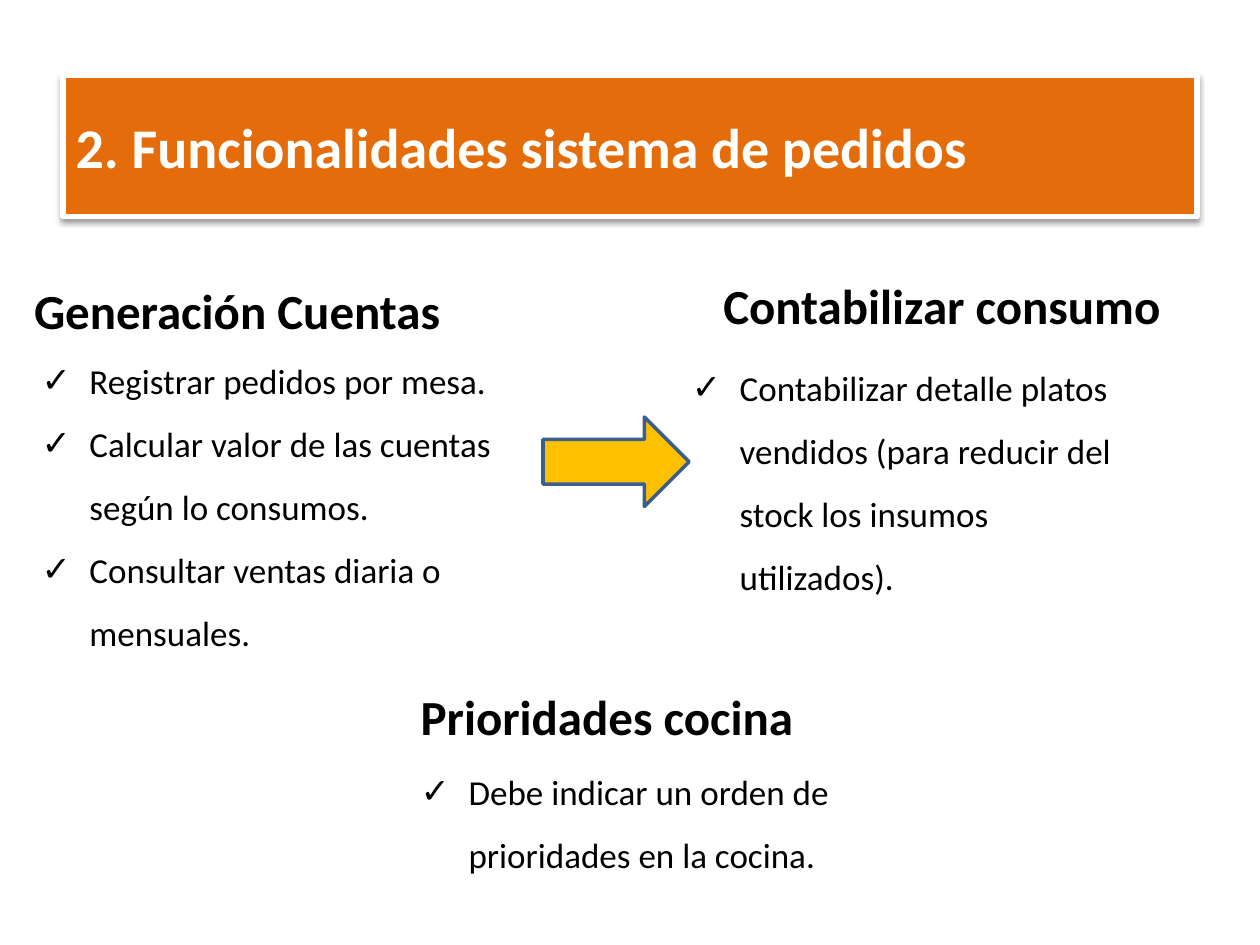
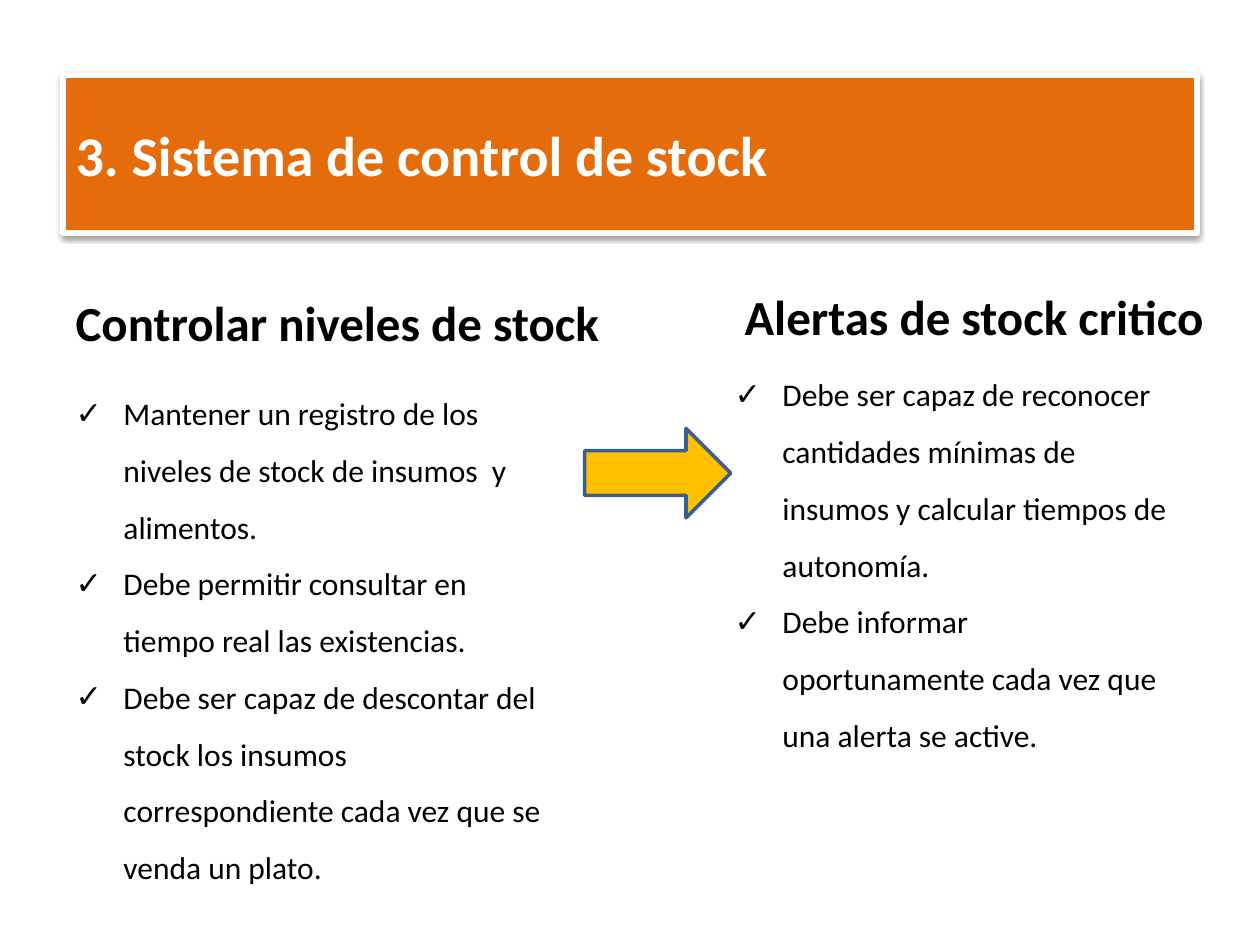
from pptx import Presentation
from pptx.dml.color import RGBColor
from pptx.enum import shapes, text
from pptx.oxml import parse_xml
from pptx.oxml.ns import nsdecls
from pptx.util import Inches, Pt

HUES = {"band": "E46C0A", "white": "FFFFFF", "ink": "000000",
        "arrow": "FFC000", "edge": "3A5F8C"}
FONT = "Calibri"
HANG = 0.38
ALIGN = text.PP_ALIGN


def rgb(name):
    return RGBColor.from_string(HUES[name])


def place(shape, left, top, width, height):
    shape.left, shape.top = Inches(left), Inches(top)
    shape.width, shape.height = Inches(width), Inches(height)


def paint(shape, fill, line, width):
    shape.fill.solid()
    shape.fill.fore_color.rgb = rgb(fill)
    shape.line.color.rgb = rgb(line)
    shape.line.width = Pt(width)


def write(par, words, size, hue="ink", bold=False):
    run = par.add_run()
    run.text = words
    font = run.font
    font.name, font.size, font.bold = FONT, Pt(size), bold
    font.color.rgb = rgb(hue)


def frame(shape, anchor=text.MSO_ANCHOR.TOP):
    body = shape.text_frame
    body.word_wrap = True
    body.auto_size = text.MSO_AUTO_SIZE.NONE
    body.vertical_anchor = anchor
    return body


def shade(shape):
    """Soft shadow straight below the shape."""
    shape._element.spPr.append(parse_xml(
        f'<a:effectLst {nsdecls("a")}>'
        f'<a:outerShdw blurRad="{Pt(3.1)}" dist="{Pt(1.6)}" dir="5400000" rotWithShape="0">'
        f'<a:srgbClr val="{HUES["ink"]}"><a:alpha val="38000"/></a:srgbClr>'
        '</a:outerShdw></a:effectLst>'))


def band(slide, words, height):
    title = slide.shapes.title
    place(title, 0.5, 0.6, 9, height)
    paint(title, "band", "white", 3)
    shade(title)
    par = frame(title, text.MSO_ANCHOR.MIDDLE).paragraphs[0]
    par.alignment = ALIGN.LEFT
    write(par, words, 32, "white", True)


def head(shape, spot, words):
    place(shape, *spot)
    par = frame(shape).paragraphs[0]
    par.alignment = ALIGN.JUSTIFY
    par.space_before = Pt(0)
    write(par, words, 28, bold=True)


def tick(par):
    """Hanging check mark in front of the paragraph."""
    props = par._p.get_or_add_pPr()
    props.set("marL", str(Inches(HANG)))
    props.set("indent", str(-Inches(HANG)))
    for mark in (f'<a:buClr {nsdecls("a")}><a:srgbClr val="{HUES["ink"]}"/></a:buClr>',
                 f'<a:buFont {nsdecls("a")} typeface="Arial"/>',
                 f'<a:buChar {nsdecls("a")} char="✓"/>'):
        props.append(parse_xml(mark))


def checks(shape, spot, items, size):
    place(shape, *spot)
    body = frame(shape)
    for i, item in enumerate(items):
        par = body.add_paragraph() if i else body.paragraphs[0]
        par.alignment = ALIGN.LEFT
        par.line_spacing = 1.5
        par.space_before = Pt(0)
        tick(par)
        write(par, item, size)


def arrow(slide, left, top):
    shape = slide.shapes.add_shape(
        shapes.MSO_SHAPE.RIGHT_ARROW,
        Inches(left), Inches(top), Inches(1.16), Inches(0.71))
    shape.shadow.inherit = False
    paint(shape, "arrow", "edge", 2)


def build(deck, title, height, size, groups, tip):
    """Comparison slide; groups beyond its placeholders get text boxes."""
    slide = deck.slides.add_slide(deck.slide_layouts[4])
    band(slide, title, height)
    slots = [slide.placeholders[i] for i in (1, 2, 3, 4)]
    for name, top, items, low in groups:
        while len(slots) < 2:
            slots.append(slide.shapes.add_textbox(0, 0, 0, 0))
        head(slots.pop(0), top, name)
        checks(slots.pop(0), low, items, size)
    arrow(slide, *tip)


def main():
    deck = Presentation()
    deck.slide_width, deck.slide_height = Inches(10), Inches(7.5)

    # Orders: bills, consumption, kitchen
    build(deck, "2. Funcionalidades sistema de pedidos", 1.12, 20, [
        ("Generación Cuentas", (0.17, 2.18, 3.53, 0.51),
         ["Registrar pedidos por mesa.",
          "Calcular valor de las cuentas según lo consumos.",
          "Consultar ventas diaria o mensuales."], (0.23, 2.64, 3.91, 3.28)),
        ("Contabilizar consumo", (5.64, 2.14, 3.86, 0.5),
         ["Contabilizar detalle platos vendidos (para reducir del stock "
          "los insumos utilizados)."], (5.39, 2.69, 3.7, 2.32)),
        ("Prioridades cocina", (3.24, 5.4, 4.32, 0.41),
         ["Debe indicar un orden de prioridades en la cocina."],
         (3.24, 5.9, 3.59, 1.15)),
    ], (4.31, 3.31))

    # Stock: levels and alerts
    build(deck, "3. Sistema de control de stock", 1.25, 18, [
        ("Controlar niveles de stock", (0.5, 2.27, 4.43, 0.51),
         ["Mantener un registro de los niveles de stock de insumos  y alimentos.",
          "Debe permitir consultar en tiempo real las existencias.",
          "Debe ser capaz de descontar del stock los insumos correspondiente "
          "cada vez que se venda un plato."], (0.5, 2.93, 3.91, 4.1)),
        ("Alertas de stock critico", (5.81, 2.22, 4.03, 0.5),
         ["Debe ser capaz de reconocer cantidades mínimas de insumos y "
          "calcular tiempos de autonomía.",
          "Debe informar oportunamente cada vez que una alerta se active."],
         (5.73, 2.78, 3.7, 4.38)),
    ], (4.64, 3.4))

    deck.save("out.pptx")


if __name__ == "__main__":
    main()
